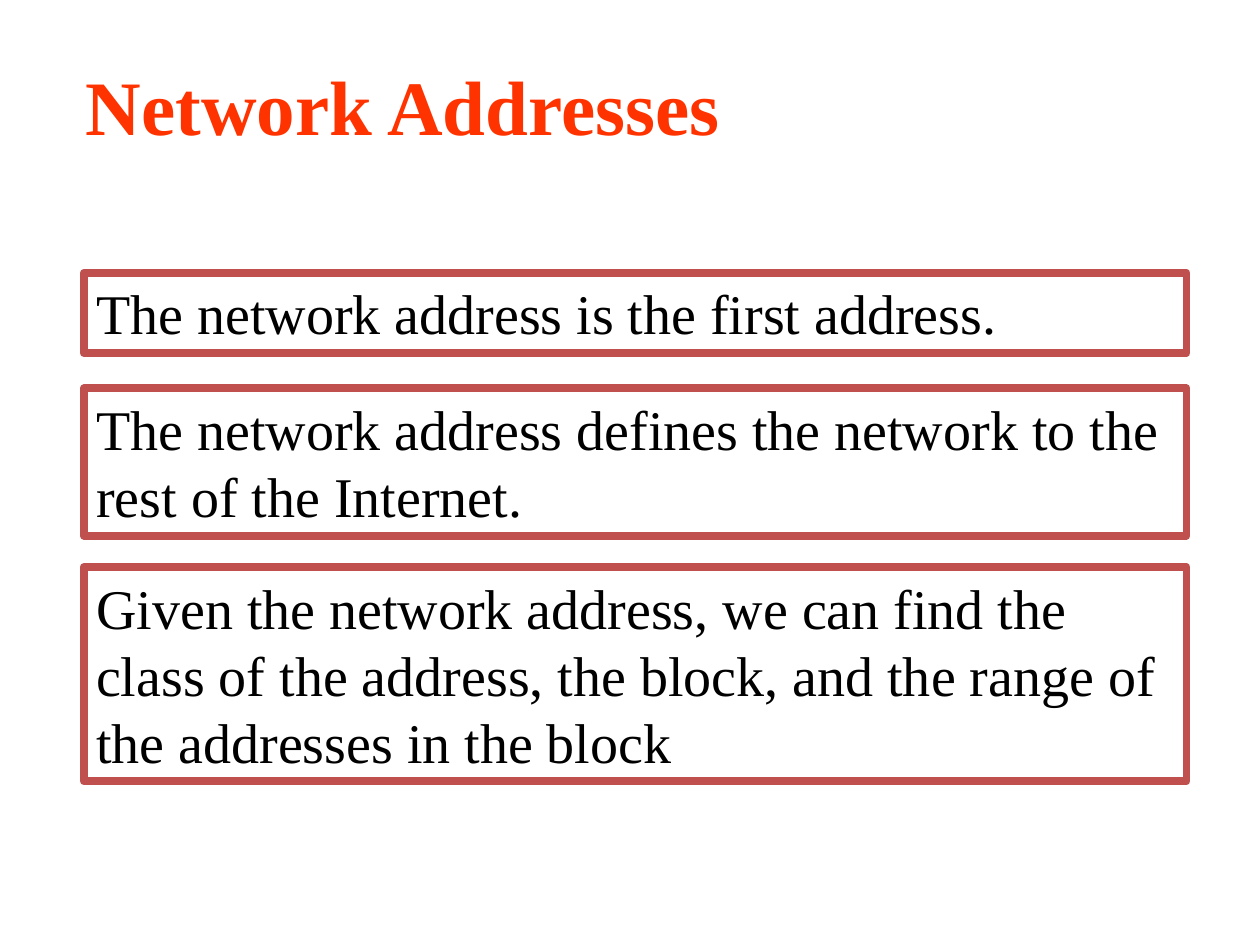
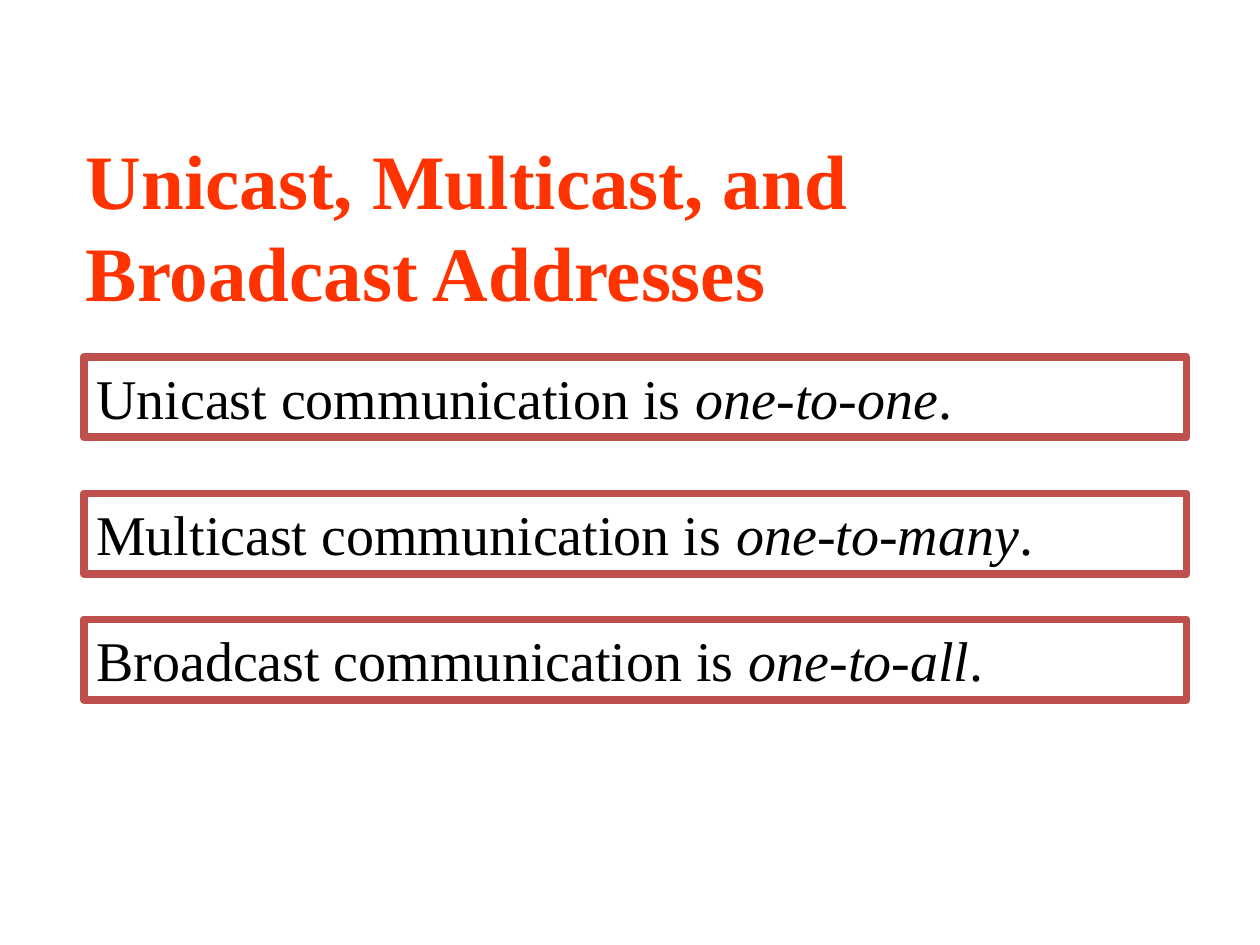
"""Build two slides on network addresses and on unicast, multicast and broadcast."""
from pptx import Presentation
from pptx.dml.color import RGBColor
from pptx.enum.shapes import MSO_SHAPE
from pptx.enum.text import MSO_ANCHOR, MSO_AUTO_SIZE, PP_ALIGN
from pptx.util import Cm, Pt

RECTANGLE = MSO_SHAPE.RECTANGLE
TOP = MSO_ANCHOR.TOP
GROW = MSO_AUTO_SIZE.SHAPE_TO_FIT_TEXT
LEFT, JUSTIFY = PP_ALIGN.LEFT, PP_ALIGN.JUSTIFY

FONT = "Times New Roman"
TITLE_COLOR, BORDER_COLOR, TEXT_COLOR = "FF3300", "C0504D", "000000"
TITLE_LEFT, BOX_LEFT, BOX_WIDTH = 1.48, 1.69, 22.23
LINE_HEIGHT, BOX_PADDING = 1.35, 0.27


def color(hex_string):
    return RGBColor.from_string(hex_string)


def write(shape, parts, size, text_color, bold=False, align=LEFT):
    frame = shape.text_frame
    frame.word_wrap = True
    frame.auto_size = GROW
    frame.vertical_anchor = TOP
    paragraph = frame.paragraphs[0]
    paragraph.alignment = align
    paragraph.font.name = FONT
    paragraph.font.size = Pt(size)
    paragraph.font.bold = bold
    paragraph.font.color.rgb = color(text_color)
    for text, italic in parts:
        run = paragraph.add_run()
        run.text = text
        if italic:
            run.font.italic = True


network_facts = [
    (5.5, 1, [("The network address is the first address.", False)]),
    (7.83, 2, [("The network address defines the network to the rest of the Internet.", False)]),
    (11.43, 3, [("Given the network address, we can find the class of the address, "
                 "the block, and the range of the addresses in the block", False)]),
]
communication_kinds = [
    (top, 1, [(f"{kind} communication is ", False), (reach, True), (".", False)])
    for top, kind, reach in [
        (7.2, "Unicast", "one-to-one"),
        (9.95, "Multicast", "one-to-many"),
        (12.49, "Broadcast", "one-to-all"),
    ]
]
slides = [
    ("Network Addresses", (1.06, 13.97, 2.13), LEFT, network_facts),
    ("Unicast, Multicast, and Broadcast Addresses", (2.54, 21.8, 3.99), JUSTIFY,
     communication_kinds),
]

deck = Presentation()
deck.slide_width, deck.slide_height = Cm(25.4), Cm(19.05)
blank = deck.slide_layouts[6]

for heading, (heading_top, heading_width, heading_height), align, statements in slides:
    slide = deck.slides.add_slide(blank)
    title = slide.shapes.add_textbox(
        Cm(TITLE_LEFT), Cm(heading_top), Cm(heading_width), Cm(heading_height))
    write(title, [(heading, False)], 44, TITLE_COLOR, bold=True)

    for top, lines, parts in statements:
        statement = slide.shapes.add_shape(
            RECTANGLE, Cm(BOX_LEFT), Cm(top), Cm(BOX_WIDTH),
            Cm(lines * LINE_HEIGHT + BOX_PADDING))
        statement.shadow.inherit = False
        statement.fill.background()
        statement.line.color.rgb = color(BORDER_COLOR)
        statement.line.width = Pt(4.5)
        write(statement, parts, 32, TEXT_COLOR, align=align)

deck.save("out.pptx")
